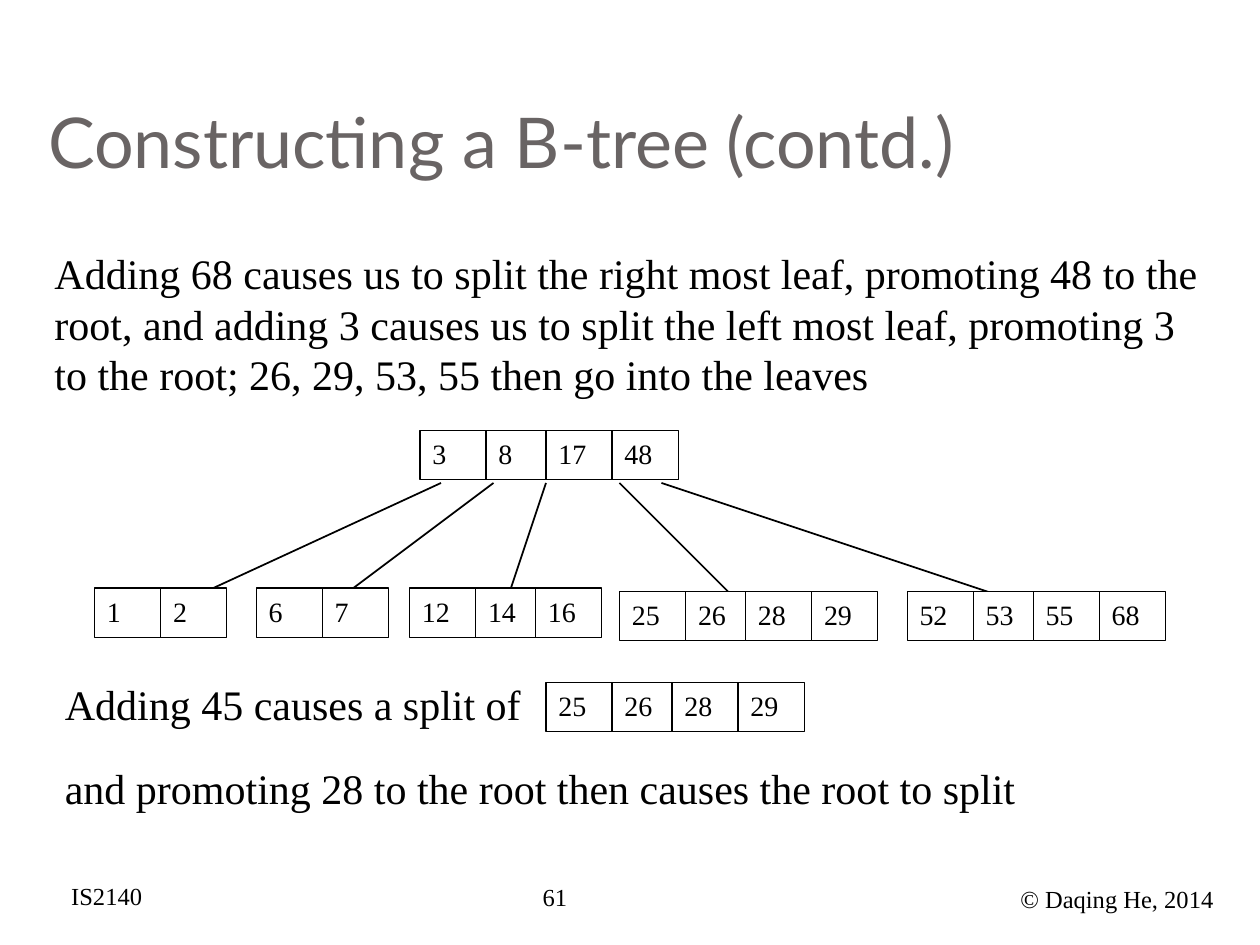
import pptx
import pptx.util
import pptx.dml.color
import pptx.enum.shapes
import pptx.enum.text
import lxml.etree

Pt = pptx.util.Pt
RGB = pptx.dml.color.RGBColor.from_string
Anchor = pptx.enum.text.MSO_ANCHOR
COLORS = {"ink": "000000", "title": "696464", "paper": "FFFFFF"}
SERIF = "Times New Roman"

deck = pptx.Presentation()
deck.slide_width = pptx.util.Inches(10)
deck.slide_height = pptx.util.Inches(7.5)
slide = deck.slides.add_slide(deck.slide_layouts[6])
UNIT = deck.slide_width / 120  # a grid of 120 columns and 90 rows


def grid(*steps):
    return [round(step * UNIT) for step in steps]


def write(shape, text, size, font=SERIF, color="ink", anchor=Anchor.TOP, wrap=True):
    frame = shape.text_frame
    frame.word_wrap = wrap
    frame.vertical_anchor = anchor
    line = frame.paragraphs[0]
    line.text = text
    line.alignment = pptx.enum.text.PP_ALIGN.LEFT
    line.font.size = Pt(size)
    line.font.name = font
    line.font.color.rgb = RGB(COLORS[color])
    return frame


# Footer
for left, top, width, text in [
    (50.5, 83.4, 14, "61"),
    (5.6, 83.3, 9.7, "IS2140"),
    (96, 83.6, 23, "© Daqing He, 2014"),
]:
    box = slide.shapes.add_textbox(*grid(left, top, width, 4.1))
    write(box, text, 14, wrap=False)

# Branches from the root to the leaves
for start, end in [(42, 16), (47, 31), (52, 48), (59, 71), (63, 99)]:
    branch = slide.shapes.add_connector(
        pptx.enum.shapes.MSO_CONNECTOR.STRAIGHT, *grid(start, 46, end, 58))
    branch.line.color.rgb = RGB(COLORS["ink"])
    branch.line.width = Pt(1)
    lxml.etree.SubElement(branch.element.spPr, pptx.oxml.ns.qn("a:effectLst"))

# Title and text; the last two lines form a group with the split node
title = slide.shapes.add_textbox(*grid(3.4, 3.6, 114.1, 15))
frame = write(title, "Constructing a B-tree (contd.)", 40, "Lato", "title", Anchor.BOTTOM)
frame.margin_bottom = pptx.util.Inches(0.1)

split = slide.shapes.add_group_shape()
for host, left, top, width, height, text in [
    (slide, 4, 23, 112, 15.6,
     "Adding 68 causes us to split the right most leaf, promoting 48 to the root, "
     "and adding 3 causes us to split the left most leaf, promoting 3 to the root; "
     "26, 29, 53, 55 then go into the leaves"),
    (split, 5, 64, 48, 6, "Adding 45 causes a split of"),
    (split, 5, 72, 109, 6, "and promoting 28 to the root then causes the root to split"),
]:
    write(host.shapes.add_textbox(*grid(left, top, width, height)), text, 24)

# Nodes of the tree, each a row of key cells
for host, left, top, keys in [
    (slide, 40, 41, [3, 8, 17, 48]),
    (slide, 86.4, 56.3, [52, 53, 55, 68]),
    (slide, 59, 56.3, [25, 26, 28, 29]),
    (slide, 9, 56, [1, 2]),
    (slide, 24.4, 56, [6, 7]),
    (slide, 39, 56, [12, 14, 16]),
    (split, 52, 65, [25, 26, 28, 29]),
]:
    for key, shift in zip(keys, [0, 6.3, 12, 18.3]):
        cell = host.shapes.add_shape(
            pptx.enum.shapes.MSO_SHAPE.RECTANGLE, *grid(left + shift, top, 6.3, 4.7))
        cell.shadow.inherit = False
        cell.fill.solid()
        cell.fill.fore_color.rgb = RGB(COLORS["paper"])
        cell.line.color.rgb = RGB(COLORS["ink"])
        cell.line.width = Pt(0.75)
        write(cell, str(key), 16)

deck.save("out.pptx")
